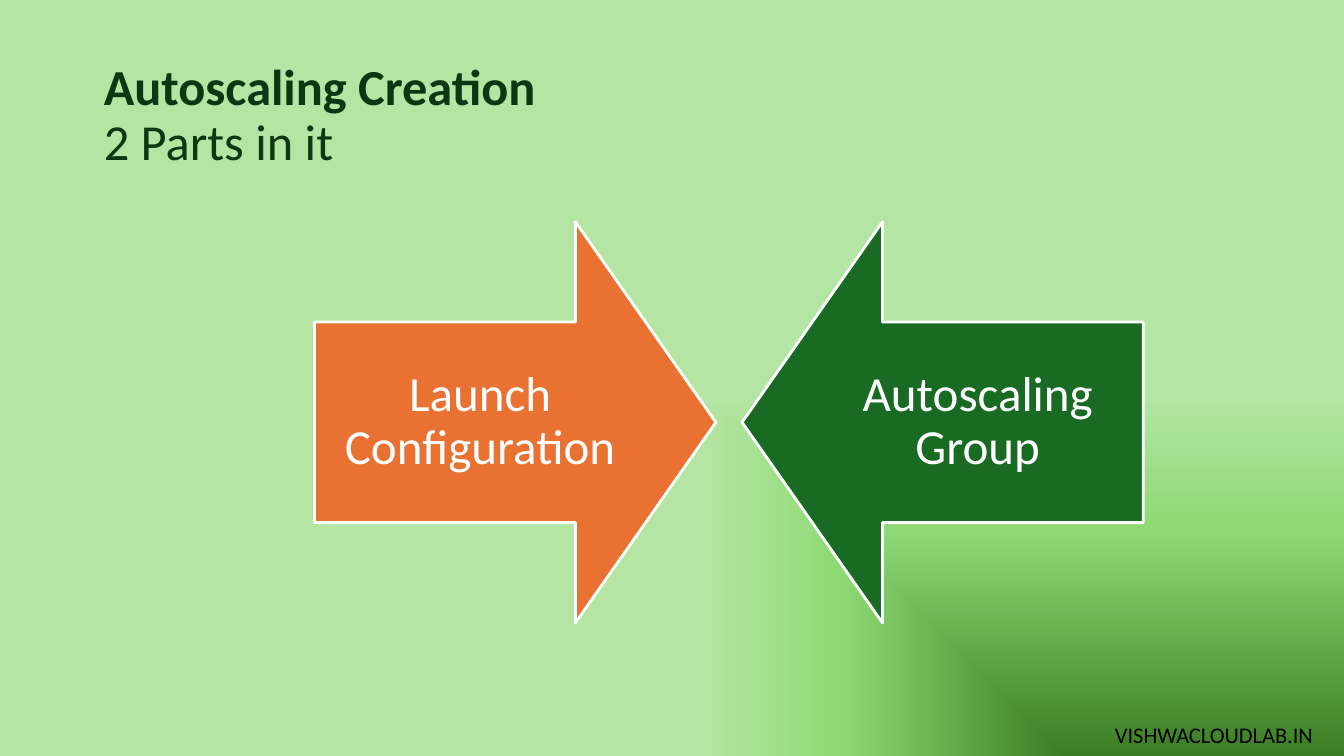
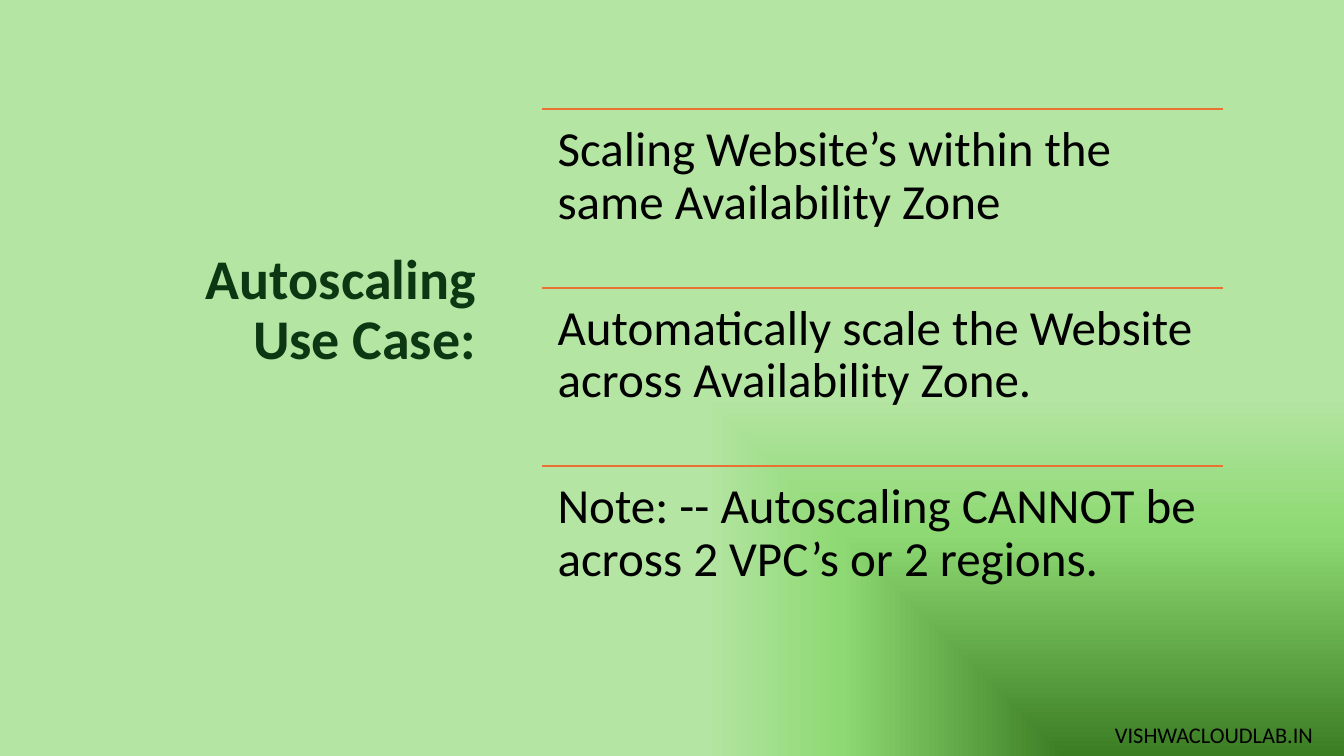
from pptx import Presentation
from pptx.dml.color import RGBColor
from pptx.enum.shapes import MSO_CONNECTOR, MSO_SHAPE
from pptx.enum.text import MSO_ANCHOR, MSO_AUTO_SIZE, PP_ALIGN
from pptx.oxml import parse_xml
from pptx.oxml.ns import nsdecls, qn
from pptx.util import Inches, Pt

FONT = "Calibri"
TITLE_COLOR, ORANGE, GREEN = "0D3612", "E97132", "196B24"
WHITE, BLACK = "FFFFFF", "000000"
STOPS = [(0, "F0F8FD"), (0, "3B7D23"), (59, "8ED973"), (95, "B4E5A2")]


def rgb(value):
    return RGBColor.from_string(value)


def write(tf, text, size=35, color=BLACK, bold=False, align=PP_ALIGN.LEFT,
          anchor=MSO_ANCHOR.TOP, inset=None, spacing=0.9):
    """Add a run to the first paragraph of a text frame and format both."""
    tf.word_wrap = True
    tf.auto_size = MSO_AUTO_SIZE.NONE
    tf.vertical_anchor = anchor
    if inset is not None:
        tf.margin_left = tf.margin_right = Inches(inset)
        tf.margin_top = tf.margin_bottom = Inches(inset)
    p = tf.paragraphs[0]
    p.alignment = align
    p.line_spacing = spacing
    r = p.add_run()
    r.text = text
    r.font.name = FONT
    r.font.size = Pt(size)
    r.font.bold = bold
    r.font.color.rgb = rgb(color)
    return p


prs = Presentation()
prs.slide_width, prs.slide_height = Inches(13.33), Inches(7.5)
layout = prs.slide_layouts.get_by_name("Title Only")
title_style = dict(color=TITLE_COLOR, anchor=MSO_ANCHOR.BOTTOM)

# Shared gradient background on the master
cSld = prs.slide_master.element.cSld
for bg in cSld.findall(qn("p:bg")):
    cSld.remove(bg)
stops = "".join(f'<a:gs pos="{pos * 1000}"><a:srgbClr val="{color}"/></a:gs>'
                for pos, color in STOPS)
cSld.insert(0, parse_xml(
    f'<p:bg {nsdecls("p", "a")}><p:bgPr><a:gradFill><a:gsLst>{stops}</a:gsLst>'
    '<a:path path="rect"><a:fillToRect l="100000" t="100000"/></a:path>'
    '</a:gradFill><a:effectLst/></p:bgPr></p:bg>'))

# Slide 1: two arrows pointing at each other
s = prs.slides.add_slide(layout)

# The footer is drawn here, then moved to the master
footer = s.shapes.add_textbox(Inches(10.96), Inches(7.11), Inches(2.35), Inches(0.37))
write(footer.text_frame, "VISHWACLOUDLAB.IN", size=16, spacing=1.0)
cSld.spTree.append(footer.element)

title = s.shapes.title
title.left, title.top, title.width, title.height = (
    Inches(0.93), Inches(0), Inches(6.44), Inches(1.75))
p = write(title.text_frame, "Autoscaling Creation", size=36, bold=True, **title_style)
p.add_line_break()
write(title.text_frame, "2 Parts in it", size=36, **title_style)

for shape_type, left, color, text in [
        (MSO_SHAPE.RIGHT_ARROW, 3.12, ORANGE, "Launch Configuration"),
        (MSO_SHAPE.LEFT_ARROW, 7.36, GREEN, "Autoscaling Group")]:
    sp = s.shapes.add_shape(shape_type, Inches(left), Inches(2.2), Inches(3.98), Inches(3.98))
    sp.adjustments[0], sp.adjustments[1] = 0.5, 0.35
    sp.shadow.inherit = False
    sp.fill.solid()
    sp.fill.fore_color.rgb = rgb(color)
    sp.line.color.rgb = rgb(WHITE)
    sp.line.width = Pt(2)
    write(sp.text_frame, text, color=WHITE, align=PP_ALIGN.CENTER,
          anchor=MSO_ANCHOR.MIDDLE, inset=0.27)

# Slide 2: ruled list of use cases
s = prs.slides.add_slide(layout)
title = s.shapes.title
title.left, title.top, title.width, title.height = (
    Inches(1.58), Inches(2.4), Inches(3.24), Inches(1.34))
write(title.text_frame, "Autoscaling Use Case:", size=40, bold=True,
      align=PP_ALIGN.RIGHT, **title_style)

list_left, list_top, list_width, row_height = (
    Inches(5.38), Inches(1.08), Inches(6.75), Inches(5.32 / 3))
use_cases = [
    "Scaling Website’s within the same Availability Zone",
    "Automatically scale the Website across Availability Zone.",
    "Note: -- Autoscaling CANNOT be across 2 VPC’s or 2 regions.",
]
for i, text in enumerate(use_cases):
    top = list_top + i * row_height
    rule = s.shapes.add_connector(MSO_CONNECTOR.STRAIGHT, list_left, top,
                                  list_left + list_width, top)
    rule.line.color.rgb = rgb(ORANGE)
    rule.line.width = Pt(1.5)
    rule.element.spPr.append(parse_xml(f'<a:effectLst {nsdecls("a")}/>'))
    box = s.shapes.add_textbox(list_left, top, list_width, row_height)
    write(box.text_frame, text, inset=0.15)

prs.save("out.pptx")
